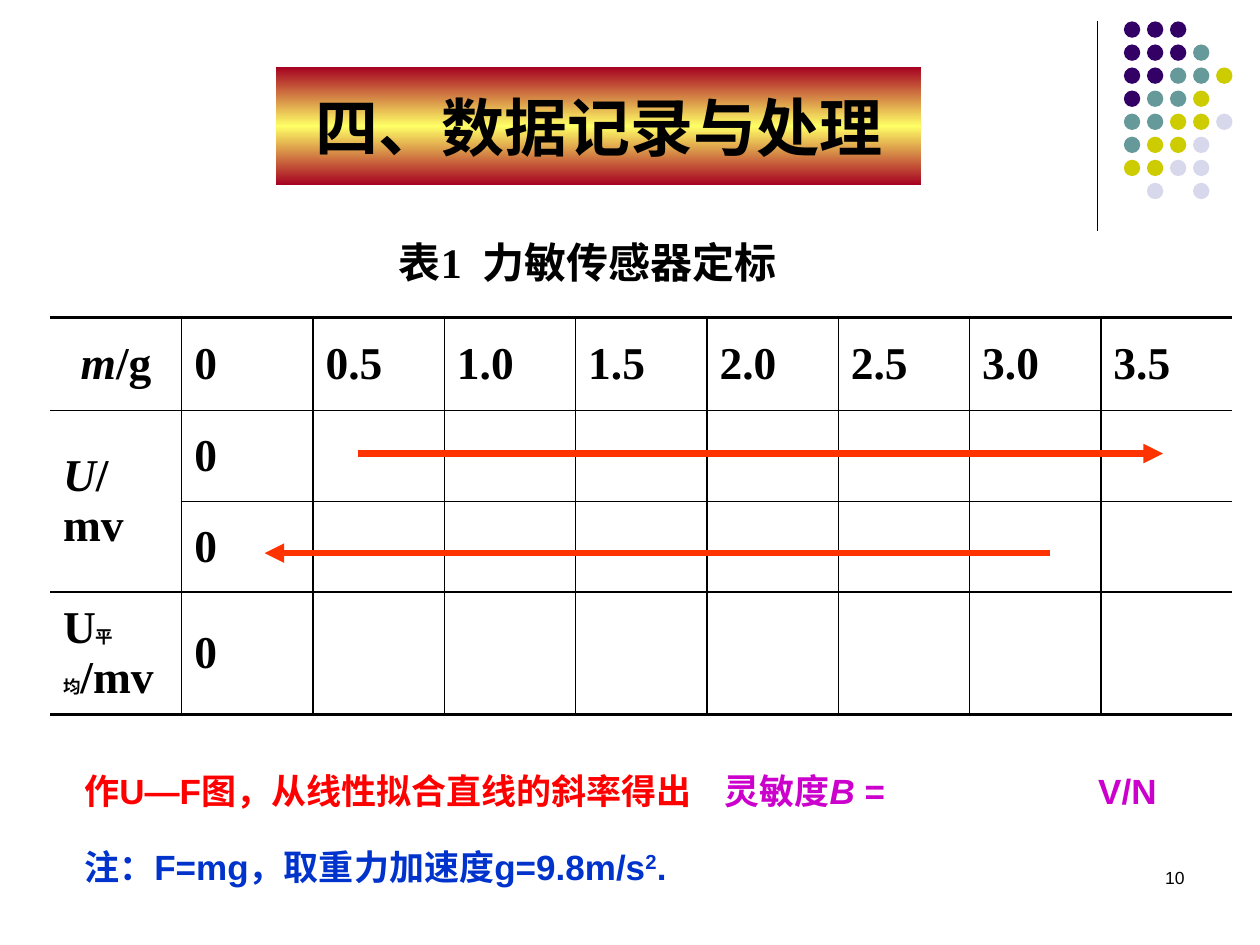
import copy

import lxml.etree
import pptx
import pptx.dml.color
import pptx.enum.shapes
import pptx.enum.text
import pptx.oxml.ns
import pptx.util

Inches, Pt, qn = pptx.util.Inches, pptx.util.Pt, pptx.oxml.ns.qn
ALIGN, ANCHOR = pptx.enum.text.PP_ALIGN, pptx.enum.text.MSO_ANCHOR

# Content
COLORS = {"black": "000000", "crimson": "A50021", "yellow": "FFFF66", "red": "FF0000",
          "magenta": "CC00CC", "blue": "0033CC", "arrow": "FF3300",
          "P": "330066", "T": "669999", "Y": "CCCC00", "L": "D8D8EC"}
DOTS = ["PPP", "PPPT", "PPTTY", "PTTY", "TTYYL", "TYYL", "YYLL", ".L.L"]
TITLE = "四、数据记录与处理"
CAPTION = ["表1", (" ", {"spacing": 6}), "力敏传感器定标"]
MASSES = ["0", "0.5", "1.0", "1.5", "2.0", "2.5", "3.0", "3.5"]
ROWS = [
    [[("m", {"italic": True}), "/g"]] + MASSES,
    [[("U", {"italic": True}), "/mv"], "0"],
    ["", "0"],
    [["U", ("平均", {"size": 10}), "/mv"], "0"],
]
ROW_HEIGHTS = [0.74, 0.72, 0.72, 0.97]
TABLE_LEFT, TABLE_TOP, TABLE_WIDTH = 0.4, 2.52, 9.38
MAGENTA = {"color": "magenta"}
SENSITIVITY = [
    "作U—F图，从线性拟合直线的斜率得出\t",
    ("灵敏度", MAGENTA), ("B", {**MAGENTA, "italic": True}), (" = ", MAGENTA),
    ("\t", {**MAGENTA, "underline": True}), (" V/N", MAGENTA),
]
SENSITIVITY_TABS = [5.08, 7.97]
NOTE = ["注：F=mg，取重力加速度g=9.8m/s", ("2", {"baseline": 30}), "."]
ARROWS = [((2.84, 3.6), (9.23, 3.6)), ((8.33, 4.39), (2.1, 4.39))]


def rgb(name):
    return pptx.dml.color.RGBColor.from_string(COLORS[name])


def add_runs(p, runs, **base):
    """Write a string, or a list of strings and (string, format) pairs, into a paragraph."""
    for item in [runs] if isinstance(runs, str) else runs:
        text, changes = (item, {}) if isinstance(item, str) else item
        fmt = {"size": 20, "font": "Arial", "color": "black", "bold": True, **base, **changes}
        r = p.add_run()
        r.text = text
        f = r.font
        f.size, f.name, f.bold = Pt(fmt["size"]), fmt["font"], fmt["bold"]
        f.italic, f.underline = fmt.get("italic"), fmt.get("underline")
        f.color.rgb = rgb(fmt["color"])
        if "baseline" in fmt:
            r._r.get_or_add_rPr().set("baseline", str(fmt["baseline"] * 1000))
        if "spacing" in fmt:
            r._r.get_or_add_rPr().set("spc", str(fmt["spacing"] * 100))


def add_text(s, box, runs, align=ALIGN.LEFT, tabs=(), **fmt):
    tf = s.shapes.add_textbox(*map(Inches, box)).text_frame
    tf.word_wrap = True
    p = tf.paragraphs[0]
    p.alignment = align
    if tabs:
        tab_list = lxml.etree.SubElement(p._p.get_or_add_pPr(), qn("a:tabLst"))
        for pos in tabs:
            lxml.etree.SubElement(tab_list, qn("a:tab"), pos=str(Inches(pos)), algn="l")
    add_runs(p, runs, **fmt)


def add_line(s, start, end, color, width, arrow=False):
    sp = s.shapes.add_connector(pptx.enum.shapes.MSO_CONNECTOR.STRAIGHT,
                                *map(Inches, start + end))
    sp.line.color.rgb, sp.line.width = rgb(color), Pt(width)
    if arrow:
        lxml.etree.SubElement(sp.line._get_or_add_ln(), qn("a:tailEnd"), type="triangle")
    lxml.etree.SubElement(sp._element.spPr, qn("a:effectLst"))


def set_border(cell, side, width):
    ln = lxml.etree.SubElement(cell._tc.get_or_add_tcPr(), qn("a:ln" + side),
                               w=str(Pt(width)))
    if width:
        fill = lxml.etree.SubElement(ln, qn("a:solidFill"))
        lxml.etree.SubElement(fill, qn("a:srgbClr"), val=COLORS["black"])
    else:
        lxml.etree.SubElement(ln, qn("a:noFill"))


def add_decoration(s):
    add_line(s, (8.71, 0.17), (8.71, 1.83), "black", 0.75)
    left, top, pitch, size = 8.92, 0.17, 0.183, 0.13
    for i, row in enumerate(DOTS):
        for j, key in enumerate(row):
            if key == ".":
                continue
            box = (left + j * pitch, top + i * pitch, size, size)
            sp = s.shapes.add_shape(pptx.enum.shapes.MSO_SHAPE.OVAL, *map(Inches, box))
            sp.shadow.inherit = False
            sp.fill.solid()
            sp.fill.fore_color.rgb = rgb(key)
            sp.line.fill.background()


def add_title(s):
    sp = s.shapes.title
    sp.left, sp.top, sp.width, sp.height = map(Inches, (2.19, 0.53, 5.12, 0.94))
    sp.fill.gradient()
    sp.fill.gradient_angle = 270
    stop_list = sp._element.spPr.find(".//" + qn("a:gsLst"))
    stop_list.insert(1, copy.deepcopy(stop_list[0]))
    for stop, pos, color in zip(sp.fill.gradient_stops, (0, 0.5, 1),
                                ("crimson", "yellow", "crimson")):
        stop.position, stop.color.rgb = pos, rgb(color)
    tf = sp.text_frame
    tf.auto_size = pptx.enum.text.MSO_AUTO_SIZE.NONE
    tf.vertical_anchor = ANCHOR.MIDDLE
    tf.paragraphs[0].alignment = ALIGN.CENTER
    add_runs(tf.paragraphs[0], TITLE, size=36)


def add_data_table(s):
    n_rows, n_cols = len(ROWS), len(ROWS[0])
    box = (TABLE_LEFT, TABLE_TOP, TABLE_WIDTH, sum(ROW_HEIGHTS))
    table = s.shapes.add_table(n_rows, n_cols, *map(Inches, box)).table
    table.first_row = table.horz_banding = False
    for row, height in zip(table.rows, ROW_HEIGHTS):
        row.height = Inches(height)
    for col in table.columns:
        col.width = Inches(TABLE_WIDTH / n_cols)
    table.cell(1, 0).merge(table.cell(2, 0))
    for i, row in enumerate(ROWS):
        for j in range(n_cols):
            cell = table.cell(i, j)
            # Heavy rules above and below, open sides, thin lines inside
            set_border(cell, "L", 1 if j else 0)
            set_border(cell, "R", 1 if j < n_cols - 1 else 0)
            set_border(cell, "T", 1 if i else 2.25)
            set_border(cell, "B", 1 if i < n_rows - 1 else 2.25)
            cell.fill.background()
            cell.vertical_anchor = ANCHOR.MIDDLE
            if j < len(row) and row[j]:
                p = cell.text_frame.paragraphs[0]
                p.alignment = ALIGN.CENTER if i == j == 0 else ALIGN.LEFT
                add_runs(p, row[j], size=26, font="Times New Roman")


def main():
    prs = pptx.Presentation()
    prs.slide_width, prs.slide_height = Inches(10), Inches(7.5)
    s = prs.slides.add_slide(prs.slide_layouts[5])
    add_decoration(s)
    add_title(s)
    add_text(s, (0.67, 1.83, 7.99, 0.59), CAPTION, align=ALIGN.CENTER,
             size=24, font="Times New Roman")
    add_data_table(s)
    # Notes under the table and page number
    add_text(s, (0.57, 6.06, 9.21, 0.43), SENSITIVITY, tabs=SENSITIVITY_TABS, color="red")
    add_text(s, (0.57, 6.66, 6.35, 0.43), NOTE, color="blue")
    add_text(s, (7.17, 6.83, 2.33, 0.5), "10", align=ALIGN.RIGHT, size=10, bold=False)
    # Measuring directions: loading, then unloading
    for start, end in ARROWS:
        add_line(s, start, end, "arrow", 3.75, arrow=True)
    prs.save("out.pptx")


if __name__ == "__main__":
    main()
